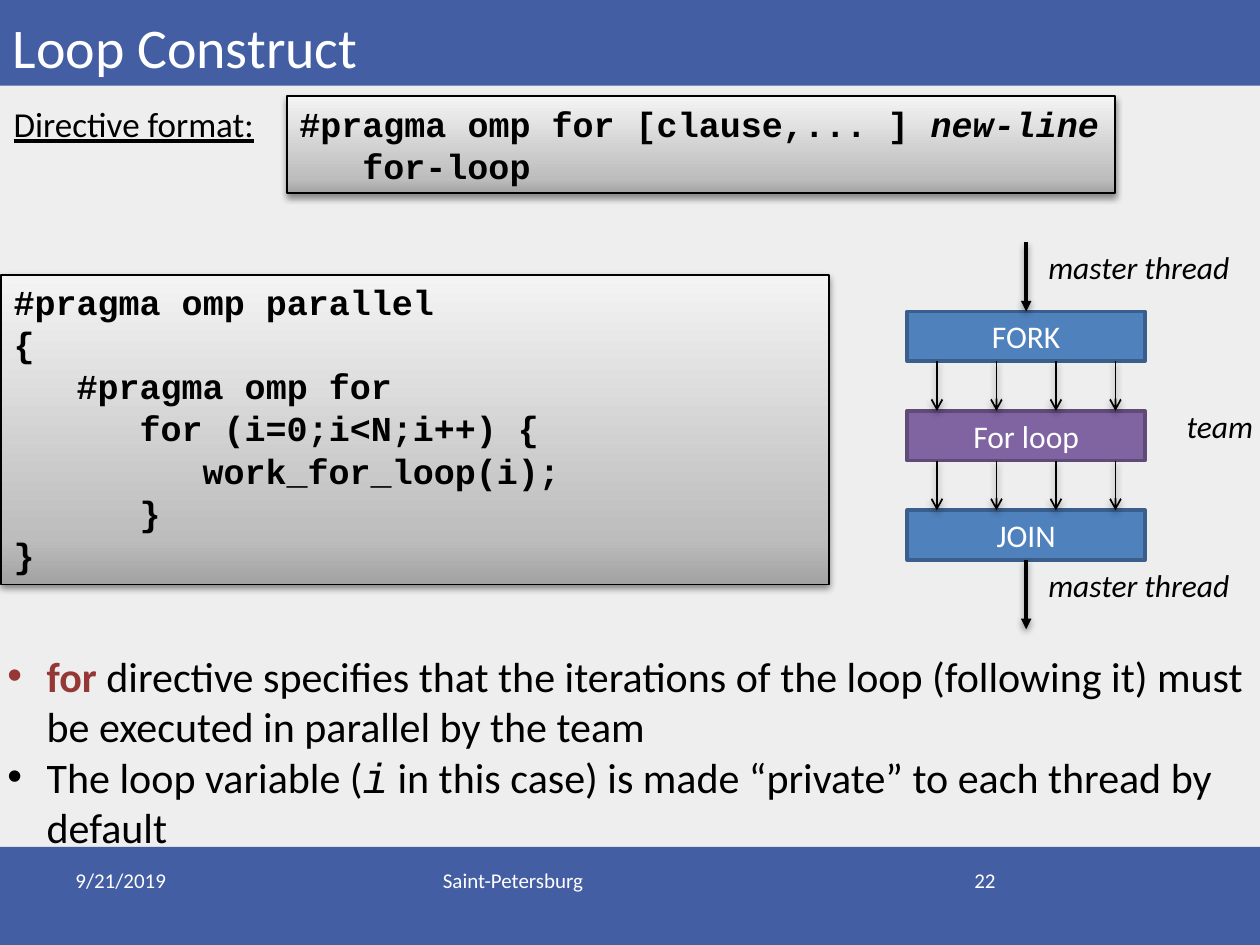
import copy

import pptx
import pptx.dml.color
import pptx.enum.shapes
import pptx.enum.text
import pptx.oxml
import pptx.util
from pptx.oxml.ns import qn

Pt = pptx.util.Pt
ALIGN = pptx.enum.text.PP_ALIGN
ANCHOR = pptx.enum.text.MSO_ANCHOR
RECTANGLE = pptx.enum.shapes.MSO_SHAPE.RECTANGLE
STRAIGHT = pptx.enum.shapes.MSO_CONNECTOR.STRAIGHT
NAMESPACE = 'xmlns:a="http://schemas.openxmlformats.org/drawingml/2006/main"'

BAND, BACKGROUND = "445EA4", "EEEEEE"
BLACK, WHITE, RED = "000000", "FFFFFF", "953735"
CODE_GRADIENT = [(0, "A2A2A2"), (0.15, "BDBDBD"), (1, "F4F4F4")]

CODE = dict(name="Courier New", size=20, bold=True)
LABEL = dict(size=18, italic=True)
FOOTER = dict(size=12, color=WHITE)

# Each text is a list of paragraphs, each paragraph a list of (words, format).
TITLE = [[("Loop Construct", dict(size=32, color=WHITE))]]
BULLETS = [
    [("for", dict(size=24, bold=True, color=RED)),
     (" directive specifies that the iterations of the loop (following it) must "
      "be executed in parallel by the team", dict(size=24))],
    [("The loop variable (", dict(size=24)),
     ("i", dict(size=24, name="Courier New", italic=True)),
     (" in this case) is made “private” to each thread by default", dict(size=24))],
]
BANDS = [(0, 0, 720, 49), (0, 484, 720, 56)]
CODE_BOXES = [
    ((164, 55, 473, 55.4), [
        [("#pragma omp for [clause,... ] ", CODE),
         ("new-line", dict(CODE, italic=True))],
        [("\tfor-loop", CODE)],
    ]),
    ((0.7, 157, 473, 177), [[(line, CODE)] for line in (
        "#pragma omp parallel",
        "{",
        "\t#pragma omp for",
        "\t\tfor (i=0;i<N;i++) {",
        "\t\t\twork_for_loop(i);",
        "\t\t}",
        "}",
    )]),
]
# place, words, format, alignment, wrap
CAPTIONS = [
    ((0.7, 55, 161, 31.5), "Directive format:", dict(size=20, underline=True), ALIGN.LEFT, False),
    ((592, 138, 122, 29), "master thread", LABEL, ALIGN.LEFT, False),
    ((671, 229, 57, 29), "team", LABEL, ALIGN.LEFT, False),
    ((592, 320, 122, 29), "master thread", LABEL, ALIGN.LEFT, False),
    ((36, 492, 168, 37.5), "9/21/2019", FOOTER, ALIGN.LEFT, True),
    ((246, 492, 228, 37.5), "Saint-Petersburg", FOOTER, ALIGN.LEFT, True),
    ((516, 492, 60, 37.5), "22", FOOTER, ALIGN.RIGHT, True),
]
STAGES = [("FORK", "4F81BD", "3A5F8C"), ("For loop", "8064A2", "5F4A78"),
          ("JOIN", "4F81BD", "3A5F8C")]
STAGE_LEFT, STAGE_TOP, STAGE_WIDTH, STAGE_HEIGHT = 518.4, 178, 136, 28.4
STAGE_PITCH = 2 * STAGE_HEIGHT
THREADS = 4
MASTER_LENGTH = 39.6


def rgb(value):
    return pptx.dml.color.RGBColor.from_string(value)


def points(place):
    return [Pt(value) for value in place]


def write(shape, paragraphs, align=ALIGN.LEFT, anchor=ANCHOR.TOP, wrap=True):
    frame = shape.text_frame
    settings = dict(word_wrap=wrap, vertical_anchor=anchor,
                    auto_size=pptx.enum.text.MSO_AUTO_SIZE.NONE)
    for key, value in settings.items():
        setattr(frame, key, value)
    for index, runs in enumerate(paragraphs):
        paragraph = frame.add_paragraph() if index else frame.paragraphs[0]
        paragraph.alignment = align
        paragraph.space_before = Pt(0)
        for words, overrides in runs:
            run = paragraph.add_run()
            run.text = words
            look = dict(name="Calibri", color=BLACK) | overrides
            run.font.color.rgb = rgb(look.pop("color"))
            look["size"] = Pt(look["size"])
            for key, value in look.items():
                setattr(run.font, key, value)


def outline(shape, color, width):
    shape.line.color.rgb = rgb(color)
    shape.line.width = Pt(width)


def add_rectangle(slide, place, fill=None):
    rectangle = slide.shapes.add_shape(RECTANGLE, *points(place))
    rectangle.shadow.inherit = False
    if fill:
        rectangle.fill.solid()
        rectangle.fill.fore_color.rgb = rgb(fill)
    return rectangle


def cast_shadow(properties):
    """Give the shape properties a soft shadow straight below."""
    for effects in properties.findall(qn("a:effectLst")):
        properties.remove(effects)
    properties.append(pptx.oxml.parse_xml(
        f'<a:effectLst {NAMESPACE}><a:outerShdw blurRad="{Pt(4)}" dist="{Pt(2)}" '
        'dir="5400000" rotWithShape="0"><a:srgbClr val="000000"><a:alpha val="43000"/>'
        '</a:srgbClr></a:outerShdw></a:effectLst>'))


def add_code_box(slide, place, paragraphs):
    box = add_rectangle(slide, place)
    box.fill.gradient()
    box.fill.gradient_angle = 90
    stops = box.fill._fill._gradFill.find(qn("a:gsLst"))
    stops.append(copy.deepcopy(stops[0]))
    for stop, (position, color) in zip(box.fill.gradient_stops, CODE_GRADIENT):
        stop.position = position
        stop.color.rgb = rgb(color)
    outline(box, BLACK, 1)
    cast_shadow(box._element.spPr)
    write(box, paragraphs)


def add_arrow(slide, x, top, bottom, width, head):
    arrow = slide.shapes.add_connector(STRAIGHT, *points((x, top, x, bottom)))
    outline(arrow, BLACK, width)
    arrow.line._get_or_add_ln().append(
        pptx.oxml.parse_xml(f'<a:tailEnd {NAMESPACE} type="{head}"/>'))
    cast_shadow(arrow._element.spPr)
    return arrow


def add_fork_join(slide):
    tops = [STAGE_TOP + index * STAGE_PITCH for index in range(len(STAGES))]
    boxes = []
    for top, (words, fill, border) in zip(tops, STAGES):
        box = add_rectangle(slide, (STAGE_LEFT, top, STAGE_WIDTH, STAGE_HEIGHT), fill)
        outline(box, border, 2)
        write(box, [[(words, dict(size=18, color=WHITE))]], ALIGN.CENTER, ANCHOR.MIDDLE)
        boxes.append(box)

    middle = STAGE_LEFT + STAGE_WIDTH / 2
    end = tops[-1] + STAGE_HEIGHT
    entering = add_arrow(slide, middle, STAGE_TOP - MASTER_LENGTH, STAGE_TOP, 2, "triangle")
    entering.end_connect(boxes[0], 0)
    leaving = add_arrow(slide, middle, end, end + MASTER_LENGTH, 2, "triangle")
    leaving.begin_connect(boxes[-1], 2)

    for upper, lower in zip(tops, tops[1:]):
        for thread in range(THREADS):
            x = STAGE_LEFT + (thread + 0.5) * STAGE_WIDTH / THREADS
            add_arrow(slide, x, upper + STAGE_HEIGHT, lower, 1, "arrow")


def place_placeholder(placeholder, place):
    for key, value in zip(("left", "top", "width", "height"), points(place)):
        setattr(placeholder, key, value)


def main():
    deck = pptx.Presentation()
    deck.slide_width, deck.slide_height = Pt(720), Pt(540)
    slide = deck.slides.add_slide(deck.slide_layouts[1])
    slide.background.fill.solid()
    slide.background.fill.fore_color.rgb = rgb(BACKGROUND)

    title, body = slide.placeholders
    place_placeholder(title, (0, -15, 720, 64))
    write(title, TITLE, anchor=ANCHOR.BOTTOM)
    place_placeholder(body, (-3, 368, 723, 124))
    write(body, BULLETS)
    for paragraph in body.text_frame.paragraphs:
        properties = paragraph._p.get_or_add_pPr()
        properties.set("marL", str(Pt(22.5)))
        properties.set("indent", str(Pt(-22.5)))

    for place in BANDS:
        band = add_rectangle(slide, place, BAND)
        band.line.fill.background()
        slide.shapes._spTree.insert(2, band._element)  # behind the placeholders
    for place, paragraphs in CODE_BOXES:
        add_code_box(slide, place, paragraphs)
    add_fork_join(slide)
    for place, words, look, align, wrap in CAPTIONS:
        caption = slide.shapes.add_textbox(*points(place))
        write(caption, [[(words, look)]], align, wrap=wrap)
    deck.save("out.pptx")


if __name__ == "__main__":
    main()
